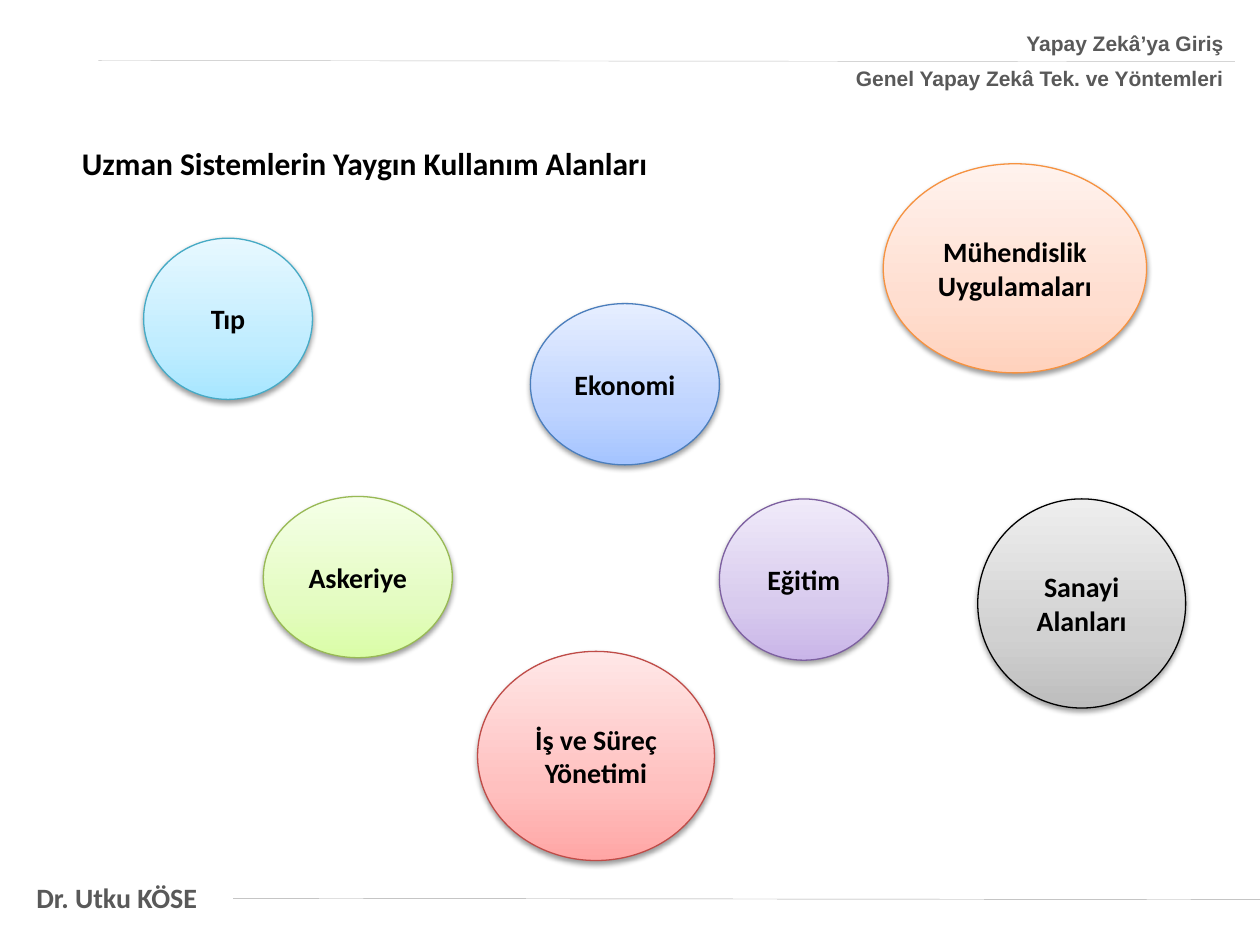
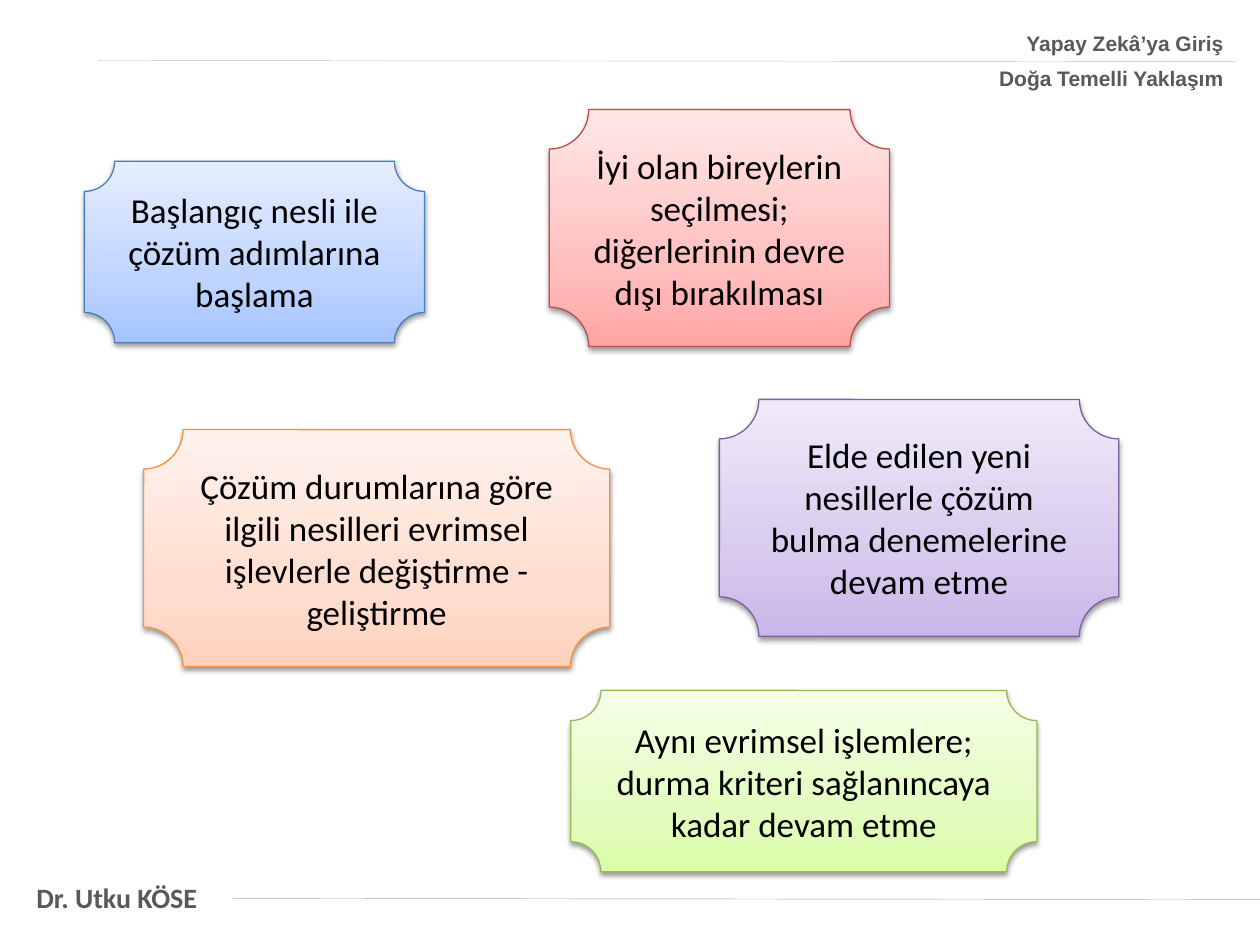
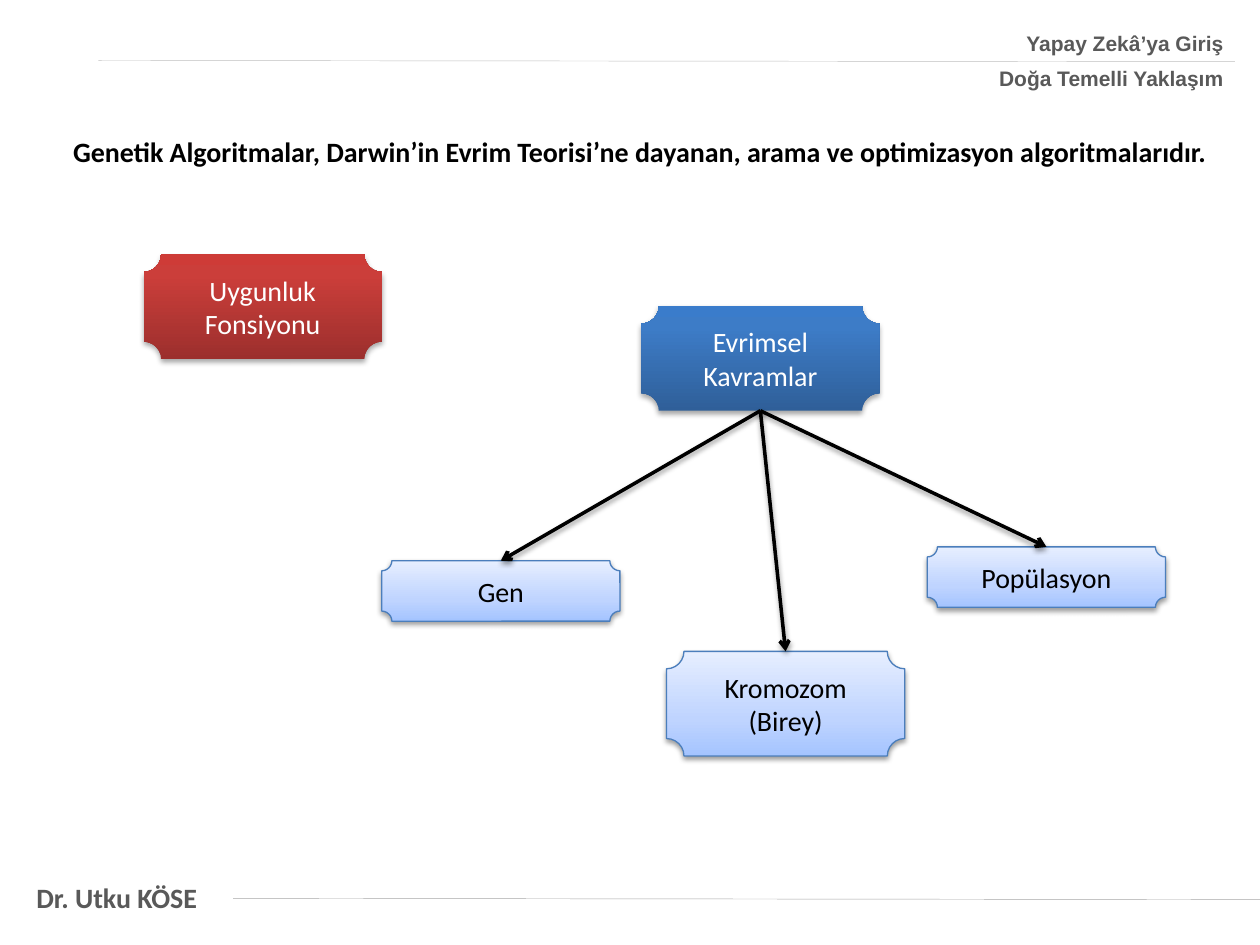
from copy import deepcopy
from dataclasses import dataclass

from lxml import etree
from pptx import Presentation
from pptx.dml.color import RGBColor
from pptx.enum.shapes import MSO_CONNECTOR, MSO_SHAPE
from pptx.enum.text import MSO_ANCHOR, MSO_AUTO_SIZE, PP_ALIGN
from pptx.oxml.ns import qn
from pptx.util import Inches, Pt

OVAL = MSO_SHAPE.OVAL
PLAQUE = MSO_SHAPE.PLAQUE
LINE = MSO_CONNECTOR.STRAIGHT
LEFT, MID, RIGHT = PP_ALIGN.LEFT, PP_ALIGN.CENTER, PP_ALIGN.RIGHT
TOP, CENTER = MSO_ANCHOR.TOP, MSO_ANCHOR.MIDDLE
FIXED = MSO_AUTO_SIZE.NONE
TITLED, BLANK = 5, 6
HEAD, FOOT = 0, 2


@dataclass(frozen=True)
class Tone:
    stops: tuple
    edge: str = ""
    ink: str = "000000"
    mid: float = 0.35
    alpha: int = 38
    drop: float = 1.6


@dataclass(frozen=True)
class Theme:
    body: str = "Calibri"
    band: str = "Arial"
    black: str = "000000"
    gray: str = "595959"
    rule: str = "BFBFBF"
    base: str = "A6A6A6"
    small: int = 12
    text: int = 16
    title: int = 18
    large: int = 20
    aqua: Tone = Tone(("A7E6FF", "C1EDFF", "E7F8FF"), "46AAC5")
    green: Tone = Tone(("DAFDA7", "E4FCC2", "F5FFE7"), "98B955")
    blue: Tone = Tone(("A4C4FF", "BFD4FF", "E6EEFF"), "4B7EBC")
    red: Tone = Tone(("FFA6A5", "FFC0BF", "FFE7E7"), "BF4C48")
    silver: Tone = Tone(("BDBDBD", "D1D1D1", "EEEEEE"), "000000")
    orange: Tone = Tone(("FFD2BD", "FFDED0", "FFF2ED"), "F69240")
    purple: Tone = Tone(("C9B5E8", "D8CBEE", "F0EAF9"), "7D60A0")
    ruby: Tone = Tone(("9C2F2D", "CB3E3A", "CE3B37"), "", "FFFFFF", 0.8, 35, 1.8)
    navy: Tone = Tone(("2F5F99", "3D7CC7", "3A7CCB"), "", "FFFFFF", 0.8, 35, 1.8)


class Deck:
    def __init__(self, theme):
        self.theme = theme
        self.file = Presentation()
        self.file.slide_width = Inches(10)
        self.file.slide_height = Inches(7.5)
        self.slide = None

    def start(self, topic, title="", spot=None, size=None):
        t = self.theme
        layout = self.file.slide_layouts[TITLED if title else BLANK]
        self.slide = self.file.slides.add_slide(layout)
        self.label((0.19, 6.94, 1.5, 0.37), ["Dr. Utku KÖSE"], t.text, t.body, wrap=False)
        self.rule((1.85, 7.13), (10, 7.14), t.base)
        self.rule((0.78, 0.48), (9.8, 0.49), t.rule)
        self.label((5.71, 0.19, 4.1, 0.59), ["Yapay Zekâ’ya Giriş", topic],
                   t.small, t.band, align=RIGHT, gap=6)
        if title:
            head = self.slide.shapes.title
            head.left, head.top, head.width, head.height = map(Inches, spot)
            self.words(head, [title], size, t.body, t.black, True, LEFT, TOP)

    def words(self, shape, lines, size, font, ink, bold, align, anchor, gap=0, wrap=True):
        frame = shape.text_frame
        frame.auto_size = FIXED
        frame.word_wrap = wrap
        frame.vertical_anchor = anchor
        for i, line in enumerate(lines):
            para = frame.add_paragraph() if i else frame.paragraphs[0]
            para.alignment = align
            para.space_after = Pt(gap)
            run = para.add_run()
            run.text = line
            run.font.name = font
            run.font.size = Pt(size)
            run.font.bold = bold
            run.font.color.rgb = RGBColor.from_string(ink)

    def label(self, spot, lines, size, font, align=LEFT, gap=0, wrap=True):
        box = self.slide.shapes.add_textbox(*map(Inches, spot))
        self.words(box, lines, size, font, self.theme.gray, True, align, TOP, gap, wrap)

    def shade(self, shape, alpha=38, drop=1.6):
        cover = etree.SubElement(shape._element.spPr, qn("a:effectLst"))
        if alpha:
            cast = etree.SubElement(cover, qn("a:outerShdw"), blurRad=str(Pt(3.1)),
                                    dist=str(Pt(drop)), dir="5400000", rotWithShape="0")
            hue = etree.SubElement(cast, qn("a:srgbClr"), val=self.theme.black)
            etree.SubElement(hue, qn("a:alpha"), val=str(alpha * 1000))

    def rule(self, start, end, color, width=0.25, alpha=0):
        line = self.slide.shapes.add_connector(LINE, *map(Inches, start + end))
        line.line.color.rgb = RGBColor.from_string(color)
        line.line.width = Pt(width)
        self.shade(line, alpha)
        return line

    def arrow(self, source, target):
        line = self.rule((0, 0), (1, 1), self.theme.black, 2, 38)
        line.begin_connect(source, FOOT)
        line.end_connect(target, HEAD)
        stroke = line._element.spPr.find(qn("a:ln"))
        etree.SubElement(stroke, qn("a:tailEnd"), type="arrow")

    def shape(self, kind, spot, text, tone, size, bold=False):
        shape = self.slide.shapes.add_shape(kind, *map(Inches, spot))
        fill = shape.fill
        fill.gradient()
        fill.gradient_angle = 90
        stops = shape._element.spPr.find(".//" + qn("a:gsLst"))
        stops.append(deepcopy(stops[0]))
        for stop, place, color in zip(fill.gradient_stops, (0, tone.mid, 1), tone.stops):
            stop.position = place
            stop.color.rgb = RGBColor.from_string(color)
        if tone.edge:
            shape.line.color.rgb = RGBColor.from_string(tone.edge)
            shape.line.width = Pt(0.75)
        else:
            shape.line.fill.background()
        self.shade(shape, tone.alpha, tone.drop)
        self.words(shape, [text], size, self.theme.body, tone.ink, bold, MID, CENTER)
        return shape


def fields(deck):
    t = deck.theme
    deck.start("Genel Yapay Zekâ Tek. ve Yöntemleri",
               "Uzman Sistemlerin Yaygın Kullanım Alanları", (0.55, 1.09, 4.92, 0.4), t.title)
    for spot, text, tone in (
        ((1.14, 1.89, 1.34, 1.28), "Tıp", t.aqua),
        ((2.09, 3.94, 1.5, 1.28), "Askeriye", t.green),
        ((4.21, 2.41, 1.5, 1.28), "Ekonomi", t.blue),
        ((3.79, 5.17, 1.88, 1.66), "İş ve Süreç Yönetimi", t.red),
        ((7.76, 3.96, 1.65, 1.66), "Sanayi Alanları", t.silver),
        ((7.01, 1.3, 2.09, 1.66), "Mühendislik Uygulamaları", t.orange),
        ((5.71, 3.96, 1.34, 1.28), "Eğitim", t.purple),
    ):
        deck.shape(OVAL, spot, text, tone, t.text, True)


def steps(deck):
    t = deck.theme
    deck.start("Doğa Temelli Yaklaşım")
    for spot, text, tone in (
        ((0.67, 1.28, 2.7, 1.44), "Başlangıç nesli ile çözüm adımlarına başlama", t.blue),
        ((1.14, 3.41, 3.7, 1.88), "Çözüm durumlarına göre ilgili nesilleri evrimsel "
         "işlevlerle değiştirme - geliştirme", t.orange),
        ((4.36, 0.87, 2.7, 1.88), "İyi olan bireylerin seçilmesi; diğerlerinin devre "
         "dışı bırakılması", t.red),
        ((5.71, 3.17, 3.17, 1.88), "Elde edilen yeni nesillerle çözüm bulma "
         "denemelerine devam etme", t.purple),
        ((4.53, 5.48, 3.7, 1.44), "Aynı evrimsel işlemlere; durma kriteri "
         "sağlanıncaya kadar devam etme", t.green),
    ):
        deck.shape(PLAQUE, spot, text, tone, t.large)


def genes(deck):
    t = deck.theme
    wide, tall, low = 1.89, 0.83, 0.48
    deck.start("Doğa Temelli Yaklaşım",
               "Genetik Algoritmalar, Darwin’in Evrim Teorisi’ne dayanan, "
               "arama ve optimizasyon algoritmalarıdır.", (0.48, 1.02, 9.32, 0.37), t.text)
    deck.shape(PLAQUE, (1.14, 2.02, wide, tall), "Uygunluk Fonsiyonu", t.ruby, t.text)
    root = deck.shape(PLAQUE, (5.09, 2.43, wide, tall), "Evrimsel Kavramlar", t.navy, t.text)
    for left, top, high, text in (
        (3.03, 4.45, low, "Gen"),
        (5.29, 5.17, tall, "Kromozom (Birey)"),
        (7.36, 4.34, low, "Popülasyon"),
    ):
        leaf = deck.shape(PLAQUE, (left, top, wide, high), text, t.blue, t.text)
        deck.arrow(root, leaf)


def main():
    deck = Deck(Theme())
    for build in (fields, steps, genes):
        build(deck)
    deck.file.save("out.pptx")


if __name__ == "__main__":
    main()
